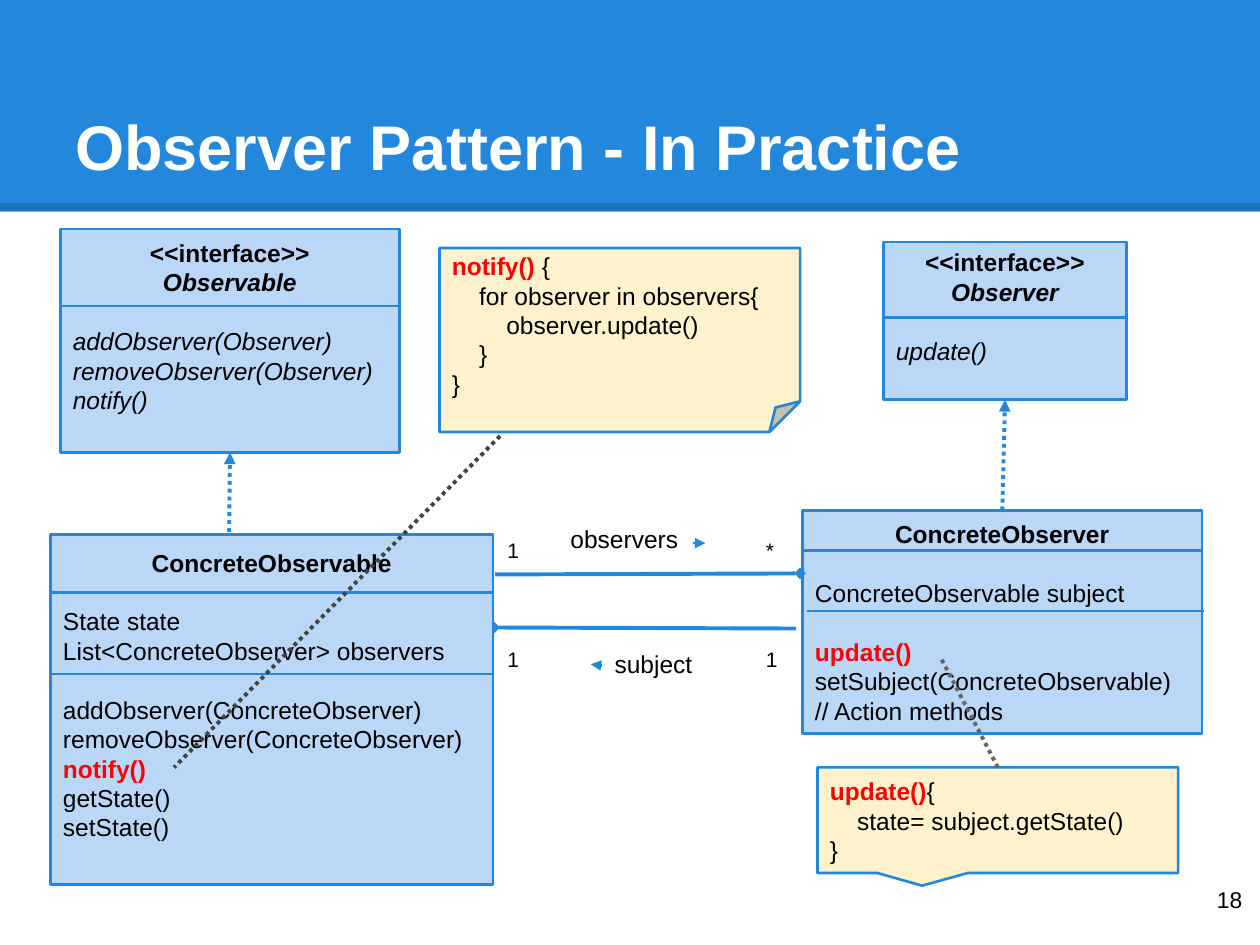
"""Build the Observer Pattern class diagram slide."""
from pptx import Presentation
from pptx import util as u
from pptx.dml.color import RGBColor
from pptx.enum import dml, shapes, text
from pptx.oxml.ns import qn
from lxml import etree

BLUE, PALE, CREAM = "2388DB", "BBD7F8", "FFF2CC"
rgb = RGBColor.from_string
kinds = shapes.MSO_SHAPE


def write(box, rows, size=14, top=0, foot=0):
    """Fill a box with (words, style) rows: b bold, i italic, c centre, e end, r red call, g gap."""
    frame = box.text_frame
    frame.word_wrap = True
    frame.margin_left = frame.margin_right = u.Cm(0.25)
    frame.margin_top, frame.margin_bottom = u.Cm(top), u.Cm(foot)
    for n, (words, style) in enumerate(rows):
        para = frame.paragraphs[0] if n == 0 else frame.add_paragraph()
        para.alignment = (text.PP_ALIGN.CENTER if "c" in style else
                          text.PP_ALIGN.RIGHT if "e" in style else text.PP_ALIGN.LEFT)
        if "g" in style:
            para.space_before = u.Pt(16.8)
        para.font.name, para.font.size = "Arial", u.Pt(size)
        para.font.bold, para.font.italic = "b" in style, "i" in style
        para.font.color.rgb = rgb("000000")
        call, mark, rest = words.partition("()") if "r" in style else ("", "", words)
        for part, red in ((call + mark, True), (rest, False)):
            if part:
                run = para.add_run()
                run.text = part
                run.font.name, run.font.size = "Arial", u.Pt(size)
                run.font.bold = red or "b" in style
                run.font.italic = "i" in style
                run.font.color.rgb = rgb("FF0000" if red else "000000")


def link(x1, y1, x2, y2, color=BLUE, width=1.5, dash=False, head=None, tail=None):
    """Draw a straight line with optional dots and end marks."""
    line = slide.shapes.add_connector(shapes.MSO_CONNECTOR.STRAIGHT,
                                      u.Cm(x1), u.Cm(y1), u.Cm(x2), u.Cm(y2))
    line.line.color.rgb = rgb(color)
    line.line.width = u.Pt(width)
    if dash:
        line.line.dash_style = dml.MSO_LINE.ROUND_DOT
    props = line.line._get_or_add_ln()
    for tag, kind in (("a:headEnd", head), ("a:tailEnd", tail)):
        if kind:
            etree.SubElement(props, qn(tag), type=kind)
    etree.SubElement(line._element.spPr, qn("a:effectLst"))
    return line


deck = Presentation()
deck.slide_width, deck.slide_height = u.Cm(25.4), u.Cm(19.05)
slide = deck.slides.add_slide(deck.slide_layouts[5])

band = slide.shapes.add_shape(kinds.RECTANGLE, 0, 0, deck.slide_width, u.Cm(4.27))
band.shadow.inherit = False
band.fill.solid()
band.fill.fore_color.rgb = rgb(BLUE)
band.line.fill.background()
edge = link(0, 4.17, 25.4, 4.17, "000000", 4.5)
shade = edge._element.spPr.find(".//" + qn("a:srgbClr"))
etree.SubElement(shade, qn("a:alpha"), val="15000")

title = slide.shapes.title
slide.shapes._spTree.append(title._element)
title.left, title.top, title.width, title.height = u.Cm(1.27), u.Cm(0.76), u.Cm(22.86), u.Cm(3.18)
title.text = "Observer Pattern - In Practice"
frame = title.text_frame
frame.vertical_anchor = text.MSO_ANCHOR.BOTTOM
frame.margin_left = frame.margin_right = frame.margin_top = frame.margin_bottom = u.Cm(0.25)
para = frame.paragraphs[0]
para.alignment = text.PP_ALIGN.LEFT
para.font.name, para.font.size, para.font.bold = "Arial", u.Pt(36), True
para.font.color.rgb = rgb("FFFFFF")

link(9.96, 12.65, 16.05, 12.67, width=2.25, head="diamond")

boxes = {}
for name, kind, fill, (x, y, w, h), foot, rows in (
    ("Observable", kinds.RECTANGLE, PALE, (1.22, 4.62, 6.83, 4.5), 0.59, [
        ("<<interface>>", "bc"), ("Observable", "bci"), ("addObserver(Observer)", "ig"),
        ("removeObserver(Observer)", "i"), ("notify()", "i")]),
    ("Observer", kinds.RECTANGLE, PALE, (17.81, 4.88, 4.9, 3.18), 0.59, [
        ("<<interface>>", "bc"), ("Observer", "bci"), ("update()", "ig")]),
    ("Subject", kinds.RECTANGLE, PALE, (1.02, 10.77, 8.92, 7.06), 0.59, [
        ("ConcreteObservable", "bc"), ("State state", "g"),
        ("List<ConcreteObserver> observers", ""), ("addObserver(ConcreteObserver)", "g"),
        ("removeObserver(ConcreteObserver)", ""), ("notify()", "r"),
        ("getState()", ""), ("setState()", "")]),
    ("Watcher", kinds.RECTANGLE, PALE, (16.18, 10.29, 8.05, 4.5), 0, [
        ("ConcreteObserver", "bc"), ("ConcreteObservable subject", "g"), ("update()", "rg"),
        ("setSubject(ConcreteObservable)", ""), ("// Action methods", "")]),
    ("Update", kinds.RECTANGULAR_CALLOUT, CREAM, (16.48, 15.47, 7.27, 2.13), 0, [
        ("update(){", "r"), ("    state= subject.getState()", ""), ("}", "")]),
    ("Notify", kinds.FOLDED_CORNER, CREAM, (8.86, 5, 7.27, 3.71), 0, [
        ("notify() {", "r"), ("    for observer in observers{", ""),
        ("        observer.update()", ""), ("    }", ""), ("}", "")]),
):
    box = slide.shapes.add_shape(kind, u.Cm(x), u.Cm(y), u.Cm(w), u.Cm(h))
    box.shadow.inherit = False
    box.fill.solid()
    box.fill.fore_color.rgb = rgb(fill)
    box.line.color.rgb = rgb(BLUE)
    box.line.width = u.Pt(1.5)
    box.text_frame.vertical_anchor = text.MSO_ANCHOR.MIDDLE
    write(box, rows, foot=foot)
    boxes[name] = box
boxes["Update"].adjustments[0] = -0.21
boxes["Update"].adjustments[1] = 0.62

for x1, x2, y in ((1.22, 8.05, 6.17), (17.81, 22.71, 6.4), (1.02, 9.94, 11.94),
                  (1.02, 9.94, 13.59), (16.18, 24.23, 11.1), (16.26, 24.28, 12.32)):
    link(x1, y, x2, y)

link(16.13, 11.56, 9.98, 11.58, width=2.25, head="diamond")
rise = link(4.62, 10.72, 4.62, 9.04, width=2.25, dash=True, tail="triangle")
rise.end_connect(boxes["Observable"], 2)
rise = link(20.19, 10.29, 20.24, 8.05, width=2.25, dash=True, tail="triangle")
rise.begin_connect(boxes["Watcher"], 0)
rise.end_connect(boxes["Observer"], 2)
link(10.08, 8.79, 3.51, 15.47, "434343", 2.25, True)
note = link(20.12, 15.47, 18.95, 13.23, "666666", 2.25, True)
note.begin_connect(boxes["Update"], 0)
link(13.97, 10.95, 14.22, 10.95, tail="triangle")
link(12.32, 13.44, 11.91, 13.39, tail="triangle")

for words, x, y, w, h, size, style in (
    ("observers", 11.25, 10.31, 2.84, 1.27, 14, ""),
    ("subject", 12.14, 12.83, 2.84, 0.97, 14, ""),
    ("1", 9.98, 10.59, 0.66, 1.27, 12, ""),
    ("*", 15.19, 10.59, 0.66, 1.27, 12, ""),
    ("1", 9.98, 12.78, 0.66, 1.27, 12, ""),
    ("1", 15.19, 12.78, 0.66, 1.27, 12, ""),
    ("18", 23.77, 17.6, 1.52, 1.45, 13, "e"),
):
    label = slide.shapes.add_textbox(u.Cm(x), u.Cm(y), u.Cm(w), u.Cm(h))
    write(label, [(words, style)], size, 0.25, 0.25)
    if words == "subject":
        label.fill.solid()
        label.fill.fore_color.rgb = rgb("FFFFFF")

deck.save("out.pptx")
